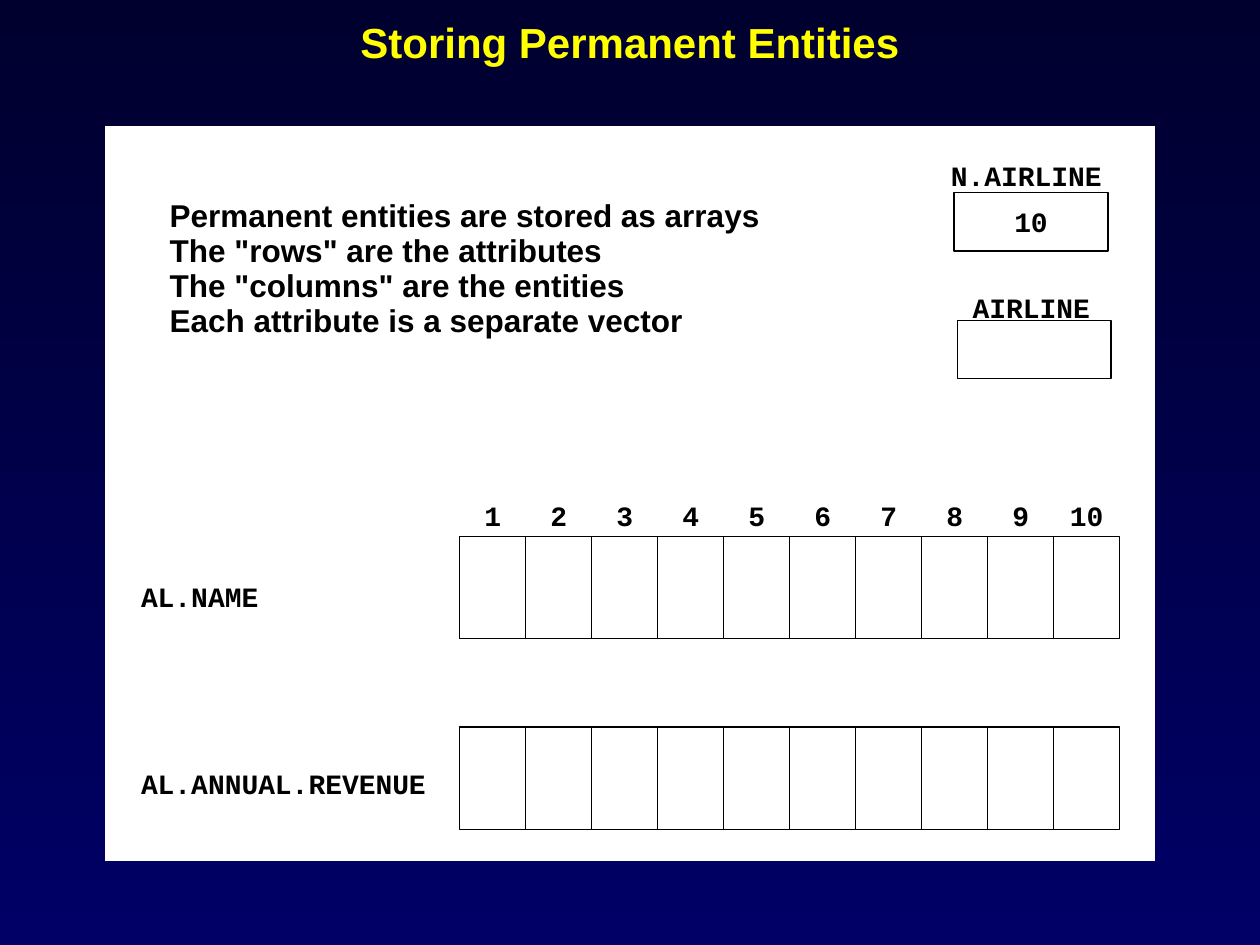
from dataclasses import dataclass

from pptx import Presentation
from pptx.dml.color import RGBColor
from pptx.enum.shapes import MSO_SHAPE
from pptx.enum.text import MSO_ANCHOR, PP_ALIGN
from pptx.util import Pt


@dataclass(frozen=True)
class Theme:
    background_top: RGBColor = RGBColor(0x00, 0x00, 0x2F)
    background_bottom: RGBColor = RGBColor(0x00, 0x00, 0x66)
    title: RGBColor = RGBColor(0xFF, 0xFF, 0x00)
    panel: RGBColor = RGBColor(0xFF, 0xFF, 0xFF)
    ink: RGBColor = RGBColor(0x00, 0x00, 0x00)
    sans: str = "Arial"
    mono: str = "Courier New"
    title_size: int = 24
    body_size: int = 18
    code_size: int = 16


THEME = Theme()

# Array grid, in points
ENTITY_COUNT = 10
GRID_LEFT = 262.8
CELL_WIDTH = 37.7
CELL_HEIGHT = 58.4
CODE_HEIGHT = 19.4
CODE_ADVANCE = 9.6


def paint_background(slide):
    fill = slide.background.fill
    fill.gradient()
    fill.gradient_angle = 270
    colors = (THEME.background_top, THEME.background_bottom)
    for position, (stop, color) in enumerate(zip(fill.gradient_stops, colors)):
        stop.position = position
        stop.color.rgb = color


def write_text(text_frame, text, font_name, size, color, align, line_spacing=None):
    text_frame.margin_left = text_frame.margin_right = 0
    text_frame.margin_top = text_frame.margin_bottom = 0
    text_frame.text = text
    for paragraph in text_frame.paragraphs:
        paragraph.alignment = align
        if line_spacing:
            paragraph.line_spacing = Pt(line_spacing)
        for run in paragraph.runs:
            run.font.name = font_name
            run.font.size = Pt(size)
            run.font.bold = True
            run.font.color.rgb = color


def add_text(slide, left, top, width, height, text, font_name, size, color,
             align=PP_ALIGN.LEFT, line_spacing=None):
    shape = slide.shapes.add_textbox(Pt(left), Pt(top), Pt(width), Pt(height))
    shape.text_frame.word_wrap = True
    write_text(shape.text_frame, text, font_name, size, color, align, line_spacing)
    return shape


def add_code_label(slide, left, top, text):
    shape = add_text(slide, left, top, len(text) * CODE_ADVANCE, CODE_HEIGHT, text,
                     THEME.mono, THEME.code_size, THEME.ink)
    shape.text_frame.word_wrap = False


def add_box(slide, left, top, width, height, outlined=True):
    shape = slide.shapes.add_shape(
        MSO_SHAPE.RECTANGLE, Pt(left), Pt(top), Pt(width), Pt(height))
    shape.shadow.inherit = False
    shape.fill.solid()
    shape.fill.fore_color.rgb = THEME.panel
    if outlined:
        shape.line.color.rgb = THEME.ink
        shape.line.width = Pt(0)
    else:
        shape.line.fill.background()
    return shape


def add_vector(slide, name, name_top, top):
    add_code_label(slide, 80.6, name_top, name)
    for index in range(ENTITY_COUNT):
        add_box(slide, GRID_LEFT + index * CELL_WIDTH, top, CELL_WIDTH, CELL_HEIGHT)


def add_column_numbers(slide, top):
    for index in range(ENTITY_COUNT):
        add_text(slide, GRID_LEFT + index * CELL_WIDTH, top, CELL_WIDTH, CODE_HEIGHT,
                 str(index + 1), THEME.mono, THEME.code_size, THEME.ink,
                 PP_ALIGN.CENTER)


def main():
    presentation = Presentation()
    presentation.slide_width, presentation.slide_height = Pt(720), Pt(540)
    slide = presentation.slides.add_slide(presentation.slide_layouts[6])
    paint_background(slide)

    # Title and white panel
    title = add_text(slide, 54, 6, 612, 36, "Storing Permanent Entities",
                     THEME.sans, THEME.title_size, THEME.title, PP_ALIGN.CENTER)
    title.text_frame.vertical_anchor = MSO_ANCHOR.MIDDLE
    add_box(slide, 60, 72, 600, 420, outlined=False)

    # Explanation
    statements = (
        "Permanent entities are stored as arrays",
        'The "rows" are the attributes',
        'The "columns" are the entities',
        "Each attribute is a separate vector",
    )
    add_text(slide, 97, 113.6, 360, 81, "\n".join(statements),
             THEME.sans, THEME.body_size, THEME.ink, line_spacing=20)

    # Entity count and entity pointer
    add_code_label(slide, 543.4, 90.4, "N.AIRLINE")
    count_box = add_box(slide, 545.2, 110, 88, 33.4)
    count_box.text_frame.vertical_anchor = MSO_ANCHOR.MIDDLE
    write_text(count_box.text_frame, str(ENTITY_COUNT), THEME.mono,
               THEME.code_size, THEME.ink, PP_ALIGN.CENTER)
    add_box(slide, 547, 183, 88, 33.4)
    add_code_label(slide, 555.8, 165.8, "AIRLINE")

    # Attribute vectors
    add_column_numbers(slide, 285.1)
    add_vector(slide, "AL.NAME", 331, 306.6)
    add_vector(slide, "AL.ANNUAL.REVENUE", 438, 415.5)

    presentation.save("out.pptx")


if __name__ == "__main__":
    main()
